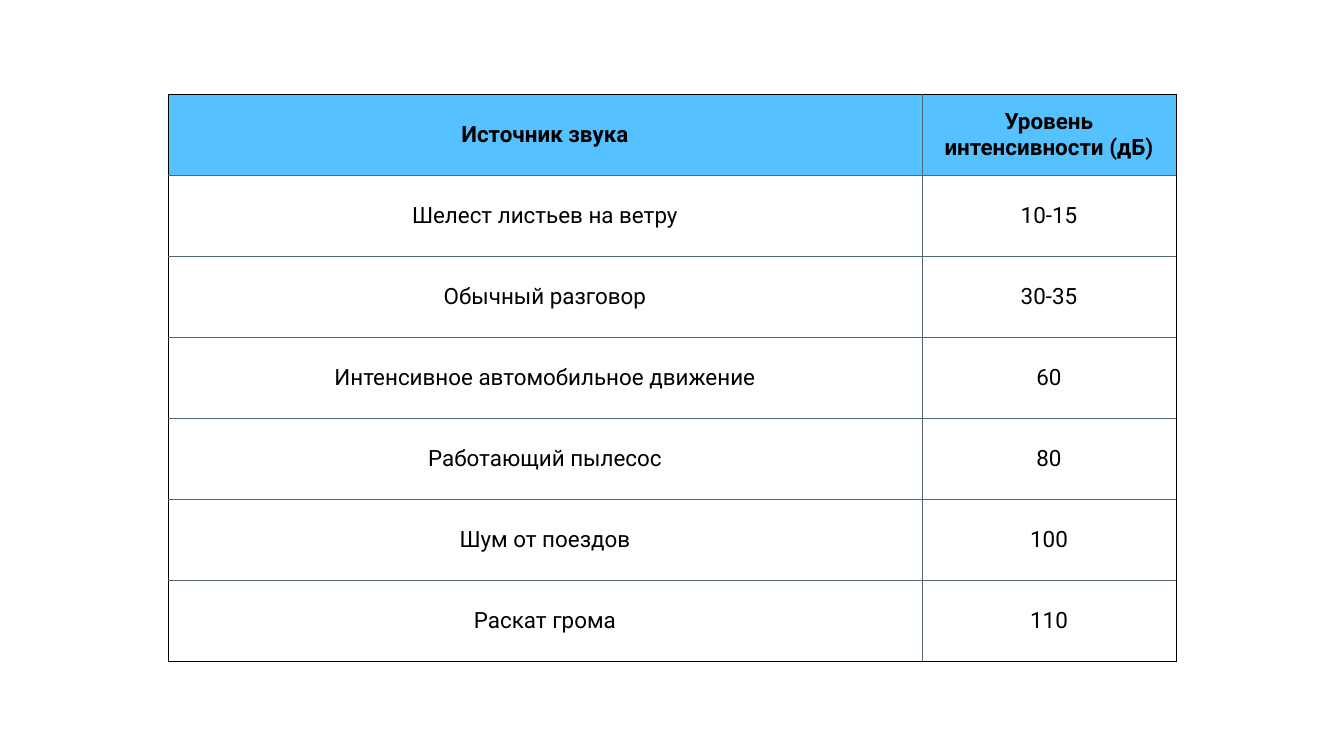
from lxml.etree import SubElement
from pptx import Presentation
from pptx.dml.color import RGBColor
from pptx.enum.text import MSO_ANCHOR as ANCHOR, PP_ALIGN as ALIGN
from pptx.oxml.ns import qn
from pptx.util import Inches, Pt

BLACK = RGBColor(0x00, 0x00, 0x00)
SLATE = RGBColor(0x53, 0x67, 0x73)
SKY = RGBColor(0x56, 0xC1, 0xFF)

SOUND_LEVELS = [
    ("Источник звука", "Уровень интенсивности (дБ)"),
    ("Шелест листьев на ветру", "10-15"),
    ("Обычный разговор", "30-35"),
    ("Интенсивное автомобильное движение", "60"),
    ("Работающий пылесос", "80"),
    ("Шум от поездов", "100"),
    ("Раскат грома", "110"),
]


class SlideBuilder:
    font = "Roboto"
    size = Pt(32)
    inset = Inches(0.06)
    line = Pt(1)

    def __init__(self, prs):
        self.width, self.height = prs.slide_width, prs.slide_height
        self.slide = prs.slides.add_slide(prs.slide_layouts[6])

    def table(self, rows, left, top, width, height, col_shares):
        """Place a table; lengths are shares of the slide, columns of the table."""
        w, h = int(self.width * width), int(self.height * height)
        table = self.slide.shapes.add_table(
            len(rows), len(col_shares),
            int(self.width * left), int(self.height * top), w, h).table
        table.horz_banding = False
        for col, share in zip(table.columns, col_shares):
            col.width = int(w * share)
        last_row, last_col = len(rows) - 1, len(col_shares) - 1
        for i, row in enumerate(rows):
            table.rows[i].height = h // len(rows)
            for j, text in enumerate(row):
                cell = table.cell(i, j)
                # Black outer frame, slate inner grid
                self.borders(cell, L=j == 0, R=j == last_col,
                             T=i == 0, B=i == last_row)
                self.cell(cell, text, header=i == 0)

    def borders(self, cell, **outer_sides):
        tc_pr = cell._tc.get_or_add_tcPr()
        for side, outer in outer_sides.items():
            ln = SubElement(tc_pr, qn(f"a:ln{side}"), w=str(self.line))
            fill = SubElement(ln, qn("a:solidFill"))
            SubElement(fill, qn("a:srgbClr"), val=str(BLACK if outer else SLATE))

    def cell(self, cell, text, header):
        if header:
            cell.fill.solid()
            cell.fill.fore_color.rgb = SKY
        else:
            cell.fill.background()
        cell.vertical_anchor = ANCHOR.MIDDLE
        cell.margin_left = cell.margin_right = self.inset
        cell.margin_top = cell.margin_bottom = self.inset
        cell.text_frame.text = text
        p = cell.text_frame.paragraphs[0]
        p.alignment = ALIGN.CENTER
        font = p.runs[0].font
        font.name, font.size, font.bold = self.font, self.size, header
        font.color.rgb = BLACK


def main():
    prs = Presentation()
    prs.slide_width, prs.slide_height = Inches(26.67), Inches(15)

    # Table of sound levels, an eighth of the slide in from each edge
    SlideBuilder(prs).table(SOUND_LEVELS, 1 / 8, 1 / 8, 3 / 4, 3 / 4,
                            col_shares=(0.748, 0.252))
    prs.save("out.pptx")


if __name__ == "__main__":
    main()
